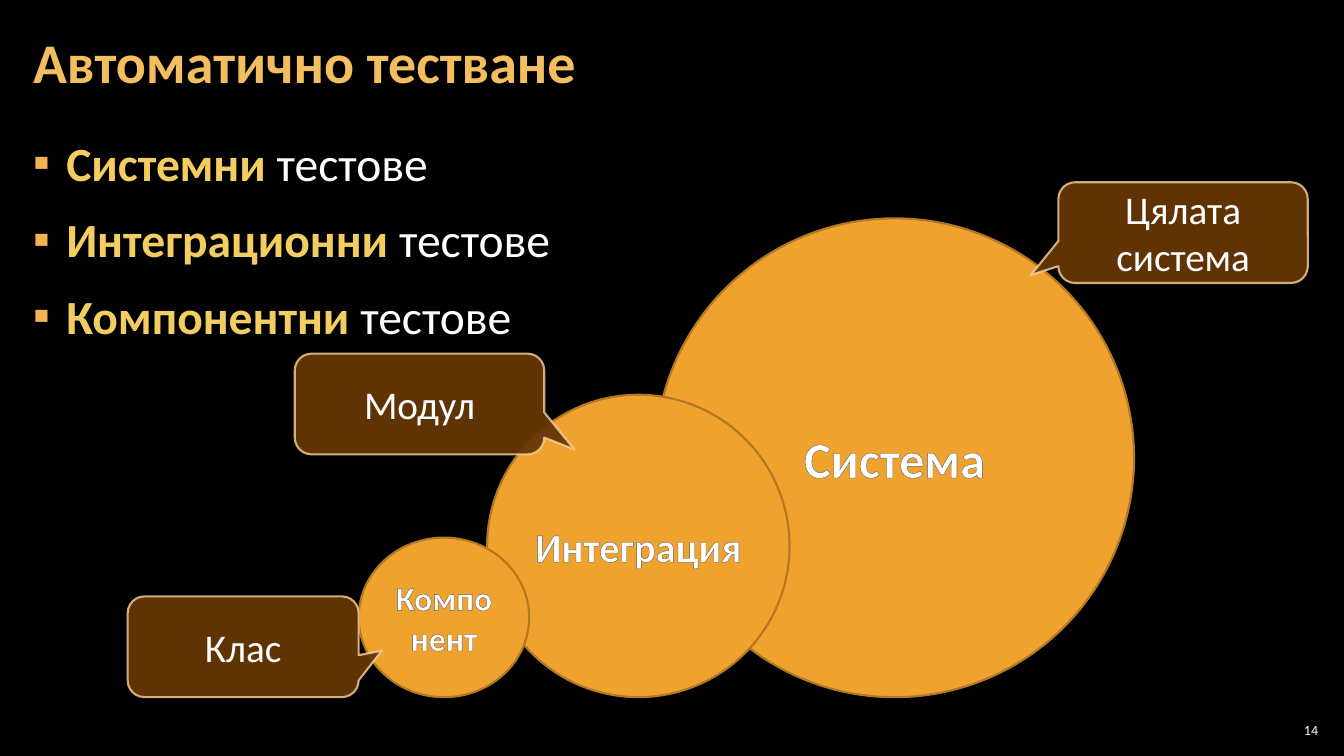
from lxml.etree import SubElement
from pptx import Presentation
from pptx.dml.color import RGBColor
from pptx.enum.shapes import MSO_SHAPE
from pptx.enum.text import MSO_ANCHOR, PP_ALIGN
from pptx.oxml.ns import qn
from pptx.util import Inches, Pt

COLS, ROWS = 160, 90
WIDE, HIGH = Inches(13.333), Inches(7.5)
BLACK, WHITE, GREY = "000000", "FFFFFF", "595959"
TITLE, STRONG, MARK = "F3BE60", "F3CD60", "F2B254"
DISC, RIM = "F0A22E", "B27822"
NOTE, EDGE = "663606", "F8D49E"
FLOOR = 83  # row on which the three discs stand


def tint(code):
    return RGBColor.from_string(code)


def fade(color, share):
    """Set the opacity, in percent, of a solid fill or line."""
    fill = color._xPr.find(qn("a:solidFill"))
    SubElement(fill[0], qn("a:alpha"), val=str(share * 1000))


def write(para, text, size=28, color=WHITE, bold=False, rim=None):
    run = para.add_run()
    run.text = text
    font = run.font
    font.name, font.size, font.bold = "Calibri", Pt(size), bold
    font.color.rgb = tint(color)
    if rim:
        line = SubElement(font._element, qn("a:ln"), w=str(Pt(0.75)))
        fill = SubElement(line, qn("a:solidFill"))
        SubElement(fill, qn("a:srgbClr"), val=rim)
        font._element.insert(0, line)


def bullet(para, mark, color):
    props = para._p.get_or_add_pPr()
    props.set("marL", str(Inches(0.33)))
    props.set("indent", str(-Inches(0.33)))
    paint = SubElement(props, qn("a:buClr"))
    SubElement(paint, qn("a:srgbClr"), val=color)
    SubElement(props, qn("a:buFont"), typeface="Calibri")
    SubElement(props, qn("a:buChar"), char=mark)


class Deck:
    """Places elements on a slide by columns and rows of a 160 by 90 grid."""

    def __init__(self):
        self.show = Presentation()
        self.show.slide_width, self.show.slide_height = WIDE, HIGH
        self.slide = self.show.slides.add_slide(self.show.slide_layouts[6])
        back = self.slide.background.fill
        back.solid()
        back.fore_color.rgb = tint(BLACK)

    def place(self, col, row, cols, rows):
        across, down = WIDE / COLS, HIGH / ROWS
        return [round(n) for n in
                (col * across, row * down, cols * across, rows * down)]

    def box(self, area, side=0.12, anchor=MSO_ANCHOR.MIDDLE):
        frame = self.slide.shapes.add_textbox(*self.place(*area)).text_frame
        frame.word_wrap, frame.vertical_anchor = True, anchor
        frame.margin_left = frame.margin_right = Inches(side)
        frame.margin_top = frame.margin_bottom = Inches(0.04)
        return frame

    def title(self, text):
        para = self.box((2.5, 0.5, 155, 14.5)).paragraphs[0]
        para.line_spacing = 0.9
        write(para, text, size=40, color=TITLE, bold=True)

    def points(self, kinds, noun):
        frame = self.box((2.5, 15.1, 155, 73), anchor=MSO_ANCHOR.TOP)
        for i, kind in enumerate(kinds):
            para = frame.add_paragraph() if i else frame.paragraphs[0]
            bullet(para, "▪", MARK)
            para.line_spacing, para.space_after = 1.05, Pt(12)
            write(para, kind + " ", size=34, color=STRONG, bold=True)
            write(para, noun, size=34)

    def shape(self, kind, area, fill, line, text, **style):
        form = self.slide.shapes.add_shape(kind, *self.place(*area))
        form.shadow.inherit = False
        form.fill.solid()
        form.fill.fore_color.rgb = tint(fill)
        form.line.color.rgb = tint(line)
        form.line.width = Pt(1.5)
        frame = form.text_frame
        frame.word_wrap, frame.vertical_anchor = True, MSO_ANCHOR.MIDDLE
        frame.paragraphs[0].alignment = PP_ALIGN.CENTER
        write(frame.paragraphs[0], text, **style)
        return form

    def disc(self, text, col, cols, rows, size):
        return self.shape(MSO_SHAPE.OVAL, (col, FLOOR - rows, cols, rows),
                          DISC, RIM, text, size=size, bold=True, rim=GREY)

    def note(self, text, col, row, cols, tip):
        form = self.shape(MSO_SHAPE.ROUNDED_RECTANGULAR_CALLOUT,
                          (col, row, cols, 12), NOTE, EDGE, text)
        for i, part in enumerate(tip):
            form.adjustments[i] = part
        props = form._element.spPr
        for holder, share in ((props, 95), (props.find(qn("a:ln")), 80)):
            color = holder.find(qn("a:solidFill"))[0]
            SubElement(color, qn("a:alpha"), val=str(share * 1000))

    def number(self, text):
        para = self.box((151.8, 85.7, 5.6, 2.5), side=0.04).paragraphs[0]
        para.alignment = PP_ALIGN.RIGHT
        write(para, text, size=10)


def main():
    deck = Deck()
    deck.points(("Системни", "Интеграционни", "Компонентни"), "тестове")
    deck.title("Автоматично тестване")
    deck.disc("Система", 78, 57, 57, 36)
    middle = deck.disc("Интеграция", 58, 36, 36, 29).text_frame
    middle.margin_left = middle.margin_right = 0
    deck.disc("Компонент", 42.7, 20.3, 19, 24)
    deck.note("Клас", 15.2, 71, 27.5, (0.6, 0.04))
    deck.note("Цялата система", 126, 21.7, 29.7, (-0.61, 0.42))
    deck.note("Модул", 35.1, 42.1, 29.7, (0.62, 0.45))
    deck.number("14")
    deck.show.save("out.pptx")


if __name__ == "__main__":
    main()
